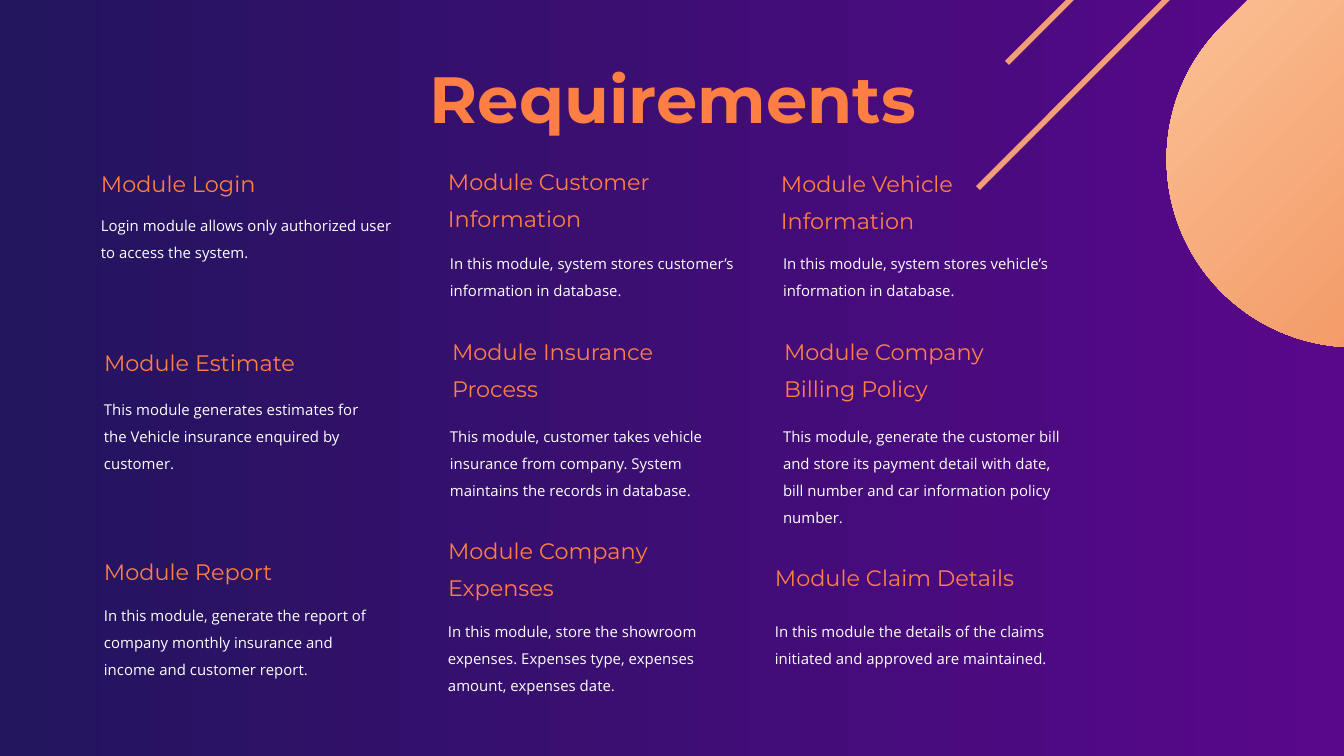
from pptx import Presentation
from pptx.dml.color import RGBColor
from pptx.enum.shapes import MSO_CONNECTOR as Connector, MSO_SHAPE as Shape
from pptx.enum.text import MSO_AUTO_SIZE as AutoSize, PP_ALIGN as Align
from pptx.oxml.ns import qn
from pptx.util import Pt
from lxml.etree import SubElement

EMU_PER_PX = 6804
WIDTH, HEIGHT = 1344, 756
INSET = 13
COLORS = {
    "navy": "22145D",
    "purple": "59078B",
    "orange": "FF7E44",
    "white": "FFFFFF",
    "stripe": "F49E77",
    "peach": "FFD7AD",
    "rust": "ED7842",
}
STYLES = {
    "title": ("Montserrat", 35, "orange", True, 1.23, Align.CENTER),
    "heading": ("Montserrat", 12, "orange", False, 1.4, Align.LEFT),
    "body": ("Open Sans", 8, "white", False, 1.5, Align.LEFT),
}
# Module: origin, (heading, width, height, inset), (body, dx, dy, width, height, inset)
MODULES = [
    ((101, 159), ("Module Login", 216, 27, 0),
     ("Login module allows only authorized user to access the system.",
      0, 49, 302, 46, 0)),
    ((435, 144), ("Module Customer Information", 302, 93, INSET),
     ("In this module, system stores customer’s information in database.",
      15, 102, 302, 46, 0)),
    ((781, 159), ("Module Vehicle Information", 302, 65, 0),
     ("In this module, system stores vehicle’s information in database.",
      -11, 74, 359, 73, INSET)),
    ((91, 325), ("Module Estimate", 285, 54, INSET),
     ("This module generates estimates for the Vehicle insurance enquired by customer.",
      0, 54, 302, 99, INSET)),
    ((439, 314), ("Module Insurance Process", 308, 93, INSET),
     ("This module, customer takes vehicle insurance from company. "
      "System maintains the records in database.",
      -2, 92, 302, 99, INSET)),
    ((771, 314), ("Module Company Billing Policy", 285, 93, INSET),
     ("This module, generate the customer bill and store its payment detail "
      "with date, bill number and car information policy number.",
      -1, 92, 308, 126, INSET)),
    ((91, 534), ("Module Report", 216, 54, INSET),
     ("In this module, generate the report of company monthly insurance "
      "and income and customer report.",
      0, 51, 302, 99, INSET)),
    ((435, 513), ("Module Company Expenses", 261, 93, INSET),
     ("In this module, store the showroom expenses. Expenses type, "
      "expenses amount, expenses date.",
      0, 88, 302, 99, INSET)),
    ((762, 540), ("Module Claim Details", 276, 54, INSET),
     ("In this module the details of the claims initiated and approved are maintained.",
      0, 61, 302, 73, INSET)),
]


def px(*lengths):
    """Turn pixel lengths into EMU."""
    return [length * EMU_PER_PX for length in lengths]


def color(name):
    """Return the named colour."""
    return RGBColor.from_string(COLORS[name])


def set_gradient(fill, *names):
    """Fill with a two-colour gradient running left to right."""
    fill.gradient()
    fill.gradient_angle = 0
    for stop, name in zip(fill.gradient_stops, names):
        stop.color.rgb = color(name)


def add_text(slide, box, text, style, inset=0):
    """Place one styled paragraph in a box."""
    font_name, size, color_name, bold, spacing, alignment = STYLES[style]
    frame = slide.shapes.add_textbox(*px(*box)).text_frame
    frame.word_wrap = True
    frame.auto_size = AutoSize.SHAPE_TO_FIT_TEXT
    margin, = px(inset)
    frame.margin_left = frame.margin_right = margin
    frame.margin_top = frame.margin_bottom = margin
    paragraph = frame.paragraphs[0]
    paragraph.alignment = alignment
    paragraph.line_spacing = spacing
    run = paragraph.add_run()
    run.text = text
    run.font.name = font_name
    run.font.size = Pt(size)
    run.font.bold = bold
    run.font.color.rgb = color(color_name)


def add_module(slide, origin, heading, body):
    """Place a module heading and its description from one origin."""
    left, top = origin
    title, width, height, inset = heading
    add_text(slide, (left, top, width, height), title, "heading", inset)
    text, dx, dy, width, height, inset = body
    add_text(slide, (left + dx, top + dy, width, height), text, "body", inset)


def add_corner(slide, left, top):
    """Place the tilted capsule and the two diagonal stripes."""
    capsule = slide.shapes.add_shape(
        Shape.ROUNDED_RECTANGLE, *px(left + 246, top - 167, 376, 538))
    capsule.adjustments[0] = 0.5
    capsule.rotation = 45
    capsule.shadow.inherit = False
    set_gradient(capsule.fill, "peach", "rust")
    capsule.line.fill.background()
    reach = 337
    for dx, dy in ((0, 188), (29, 63)):
        x, y = left + dx, top + dy
        stripe = slide.shapes.add_connector(
            Connector.STRAIGHT, *px(x, y, x + reach, y - reach))
        stripe.line.color.rgb = color("stripe")
        stripe.line.width = Pt(3)
        SubElement(stripe._element.spPr, qn("a:effectLst"))


def main():
    """Build and save the requirements slide."""
    presentation = Presentation()
    presentation.slide_width, presentation.slide_height = px(WIDTH, HEIGHT)
    slide = presentation.slides.add_slide(presentation.slide_layouts[6])
    set_gradient(slide.background.fill, "navy", "purple")
    add_corner(slide, 978, 0)
    add_text(slide, (327, 40, 692, 79), "Requirements", "title")
    for module in MODULES:
        add_module(slide, *module)
    presentation.save("out.pptx")


if __name__ == "__main__":
    main()
